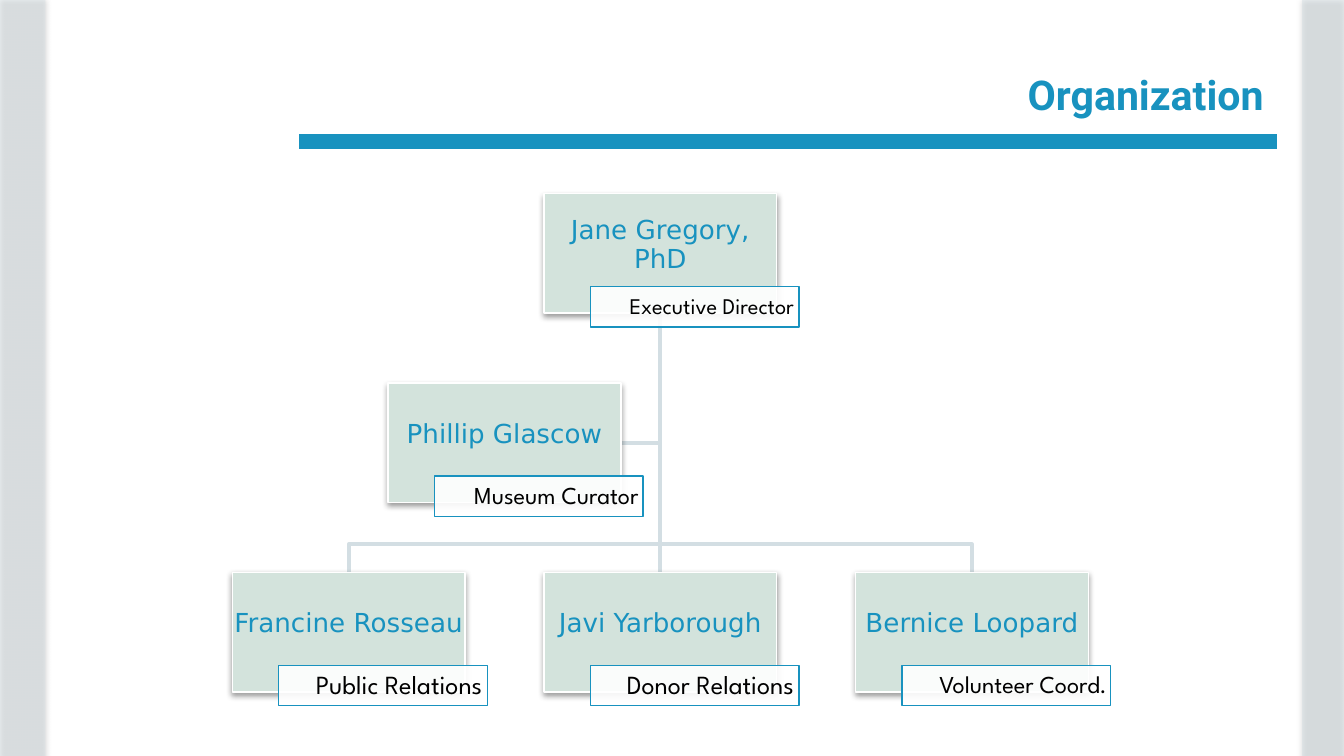
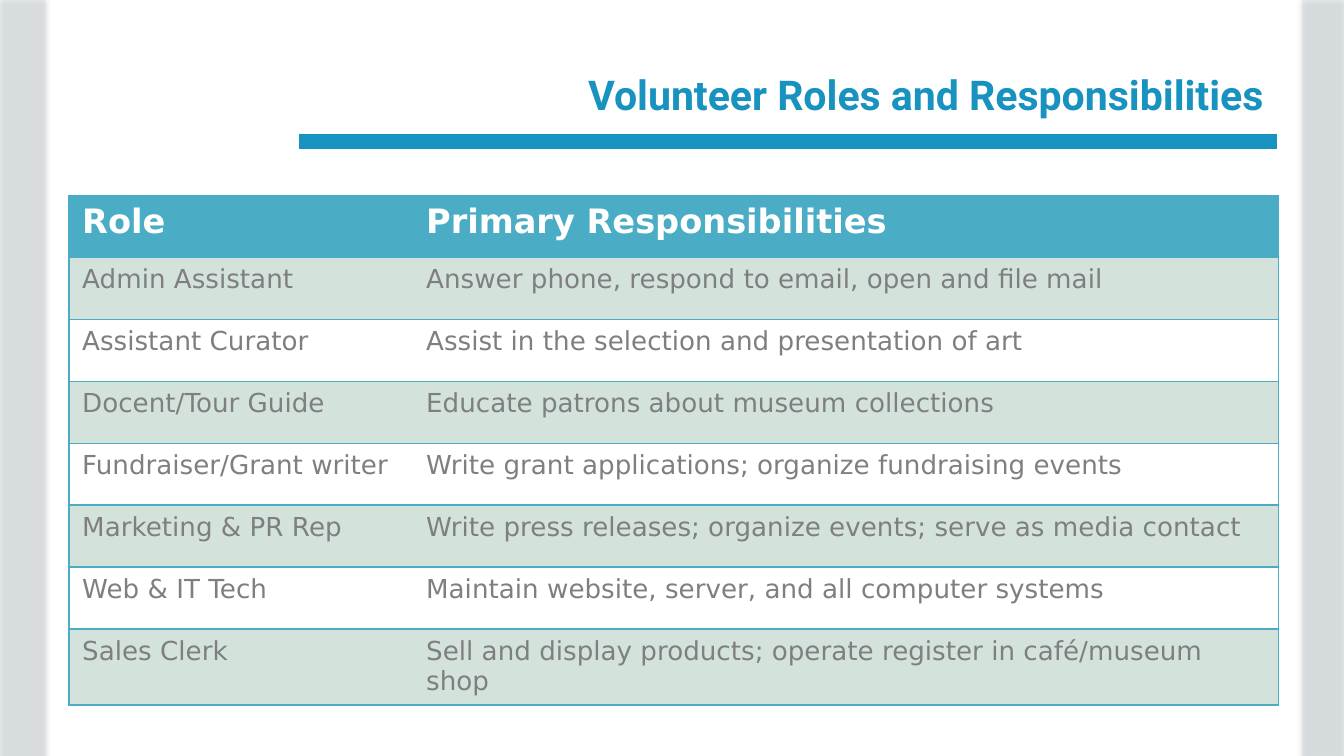
from pptx import Presentation
from pptx.dml.color import RGBColor as RGB
from pptx.enum.shapes import MSO_CONNECTOR as CONN, MSO_SHAPE as SHAPE
from pptx.enum.text import MSO_ANCHOR as ANCHOR, PP_ALIGN as ALIGN
from pptx.oxml.ns import qn
from pptx.util import Cm, Pt
from lxml.etree import SubElement, Element

COLORS = {
    "white": "FFFFFF",
    "black": "000000",
    "blue": "1892BF",
    "mist": "D3DEE3",
    "sage": "D3E3DC",
    "teal": "4BACC6",
    "gray": "7F7F7F",
}
TITLE_FONT, BODY_FONT, TAG_FONT = "Roboto", "DejaVu Sans", "League Spartan"
CARD_W, CARD_H = 4.4, 2.26
CHART_X, CHART_Y = 4.39, 3.66
PITCH_X, PITCH_Y = 5.89, 3.58

STAFF = [
    ("Jane Gregory, PhD", "Executive Director", 12, 1, 0),
    ("Francine Rosseau", "Public Relations", 14, 0, 2),
    ("Javi Yarborough", "Donor Relations", 14, 1, 2),
    ("Bernice Loopard", "Volunteer Coord.", 13, 2, 2),
    ("Phillip Glascow", "Museum Curator", 13, 0.5, 1),
]
ROLES = [
    ("Role", "Primary Responsibilities"),
    ("Admin Assistant", "Answer phone, respond to email, open and file mail"),
    ("Assistant Curator", "Assist in the selection and presentation of art"),
    ("Docent/Tour Guide", "Educate patrons about museum collections"),
    ("Fundraiser/Grant writer",
     "Write grant applications; organize fundraising events"),
    ("Marketing & PR Rep",
     "Write press releases; organize events; serve as media contact"),
    ("Web & IT Tech", "Maintain website, server, and all computer systems"),
    ("Sales Clerk",
     "Sell and display products; operate register in café/museum shop"),
]


def rgb(name):
    return RGB.from_string(COLORS[name])


def card_at(col, row):
    return CHART_X + col * PITCH_X, CHART_Y + row * PITCH_Y


class Deck:
    def __init__(self):
        self.prs = Presentation()
        self.prs.slide_width, self.prs.slide_height = Cm(25.4), Cm(14.29)
        self.s = None

    def slide(self, title):
        self.s = self.prs.slides.add_slide(self.prs.slide_layouts[6])
        for x, w, alpha in ((0, 0.86, 40), (24.61, 0.79, 45)):
            band = self.rect(x, -0.05, w, 14.34, "mist", alpha=alpha)
            self.shadow(band, 35, 1.8)
        self.line(5.66, 2.67, 24.13, 2.67, "blue", 8)
        box = self.s.shapes.add_textbox(Cm(1.27), Cm(0.58), Cm(22.86), Cm(2.39))
        self.text(box.text_frame, title, TITLE_FONT, 22, "blue",
                  align=ALIGN.RIGHT, bold=True)

    def text(self, tf, text, font, size, color, align=ALIGN.LEFT, bold=False,
             insets=None, spacing=None, anchor=ANCHOR.MIDDLE):
        tf.word_wrap = True
        tf.vertical_anchor = anchor
        if insets:
            side, top, bottom = (Cm(v) for v in insets)
            tf.margin_left = tf.margin_right = side
            tf.margin_top, tf.margin_bottom = top, bottom
        p = tf.paragraphs[0]
        p.alignment, p.line_spacing = align, spacing
        p.font.name, p.font.size, p.font.bold = font, Pt(size), bold
        p.font.color.rgb = rgb(color)
        p.add_run().text = text
        return p

    def rect(self, x, y, w, h, fill, line=None, alpha=None):
        sp = self.s.shapes.add_shape(SHAPE.RECTANGLE, Cm(x), Cm(y), Cm(w), Cm(h))
        sp.shadow.inherit = False
        sp.fill.solid()
        sp.fill.fore_color.rgb = rgb(fill)
        if alpha:
            clr = sp._element.spPr.find(qn("a:solidFill"))[0]
            SubElement(clr, qn("a:alpha"), val=str(alpha * 1000))
        if line:
            sp.line.color.rgb = rgb(line)
            sp.line.width = Pt(0.75)
        else:
            sp.line.fill.background()
        return sp

    def shadow(self, sp, alpha, dist):
        effects = sp._element.spPr.find(qn("a:effectLst"))
        outer = SubElement(effects, qn("a:outerShdw"), blurRad=str(Pt(3.1)),
                           dist=str(Pt(dist)), dir="5400000", rotWithShape="0")
        clr = SubElement(outer, qn("a:srgbClr"), val=COLORS["black"])
        SubElement(clr, qn("a:alpha"), val=str(alpha * 1000))

    def line(self, x1, y1, x2, y2, color, width):
        cx = self.s.shapes.add_connector(CONN.STRAIGHT, Cm(x1), Cm(y1), Cm(x2), Cm(y2))
        cx.line.color.rgb = rgb(color)
        cx.line.width = Pt(width)
        SubElement(cx._element.spPr, qn("a:effectLst"))
        return cx

    def branch(self, *points):
        start, *rest = [(Cm(x), Cm(y)) for x, y in points]
        fb = self.s.shapes.build_freeform(*start)
        fb.add_line_segments(rest, close=False)
        sp = fb.convert_to_shape()
        sp.shadow.inherit = False
        sp.fill.background()
        sp.line.color.rgb = rgb("mist")
        sp.line.width = Pt(2)

    def card(self, name, role, role_size, col, row):
        x, y = card_at(col, row)
        card = self.rect(x, y, CARD_W, CARD_H, "sage", "white")
        self.shadow(card, 38, 1.6)
        self.text(card.text_frame, name, BODY_FONT, 14, "blue",
                  align=ALIGN.CENTER, insets=(0.03, 0.03, 0.33), spacing=0.9)
        tag = self.rect(x + 0.88, y + 1.76, 3.94, 0.76, "white", "blue", 90)
        stem = role.rstrip(".")
        p = self.text(tag.text_frame, stem, TAG_FONT, role_size, "black",
                      align=ALIGN.RIGHT, insets=(0.09, 0.03, 0.03), spacing=0.9)
        if stem != role:
            r = p.add_run()
            r.text, r.font.name = ".", "Calibri"
        return card

    def table(self, rows, x, y, widths, row_h):
        frame = self.s.shapes.add_table(len(rows), len(widths), Cm(x), Cm(y),
                                        Cm(sum(widths)), Cm(row_h * len(rows)))
        tbl = frame.table
        tbl.horz_banding = False
        for col, w in zip(tbl.columns, widths):
            col.width = Cm(w)
        for i, row in enumerate(rows):
            for j, value in enumerate(row):
                cell = tbl.cell(i, j)
                fill = "teal" if i == 0 else "sage" if i % 2 else "white"
                cell.fill.solid()
                cell.fill.fore_color.rgb = rgb(fill)
                size, color = (14, "gray") if i else (18, "white")
                self.text(cell.text_frame, value, BODY_FONT, size, color,
                          bold=i == 0, anchor=ANCHOR.TOP)
                self.borders(cell, j == 0, j == len(widths) - 1)

    def borders(self, cell, first, last):
        tcPr = cell._tc.get_or_add_tcPr()
        sides = (("L", first), ("R", last), ("T", True), ("B", True))
        for k, (side, shown) in enumerate(sides):
            ln = Element(qn(f"a:ln{side}"), w=str(Pt(1)))
            if shown:
                fill = SubElement(ln, qn("a:solidFill"))
                SubElement(fill, qn("a:srgbClr"), val=COLORS["teal"])
            else:
                SubElement(ln, qn("a:noFill"))
            tcPr.insert(k, ln)


def organization(deck):
    deck.slide("Organization")
    x, y = card_at(1, 0)
    trunk_x, top = x + CARD_W / 2, y + CARD_H
    curator_x, curator_y = card_at(0.5, 1)
    curator_mid = curator_y + CARD_H / 2
    team_y = card_at(0, 2)[1]
    bus_y = team_y - 0.53
    deck.branch((trunk_x, top), (trunk_x, curator_mid),
                (curator_x + CARD_W, curator_mid))
    for side in (1, -1):
        end_x = trunk_x + side * PITCH_X
        deck.branch((trunk_x, top), (trunk_x, bus_y), (end_x, bus_y), (end_x, team_y))
    trunk = deck.line(trunk_x, top, trunk_x, team_y, "mist", 2)
    director, _, donor, *_ = [deck.card(*person) for person in STAFF]
    trunk.begin_connect(director, 2)
    trunk.end_connect(donor, 0)


def main():
    deck = Deck()
    organization(deck)
    deck.slide("Volunteer Roles and Responsibilities")
    deck.table(ROLES, 1.3, 3.7, (6.5, 16.36), 1.17)
    deck.prs.save("out.pptx")


if __name__ == "__main__":
    main()
